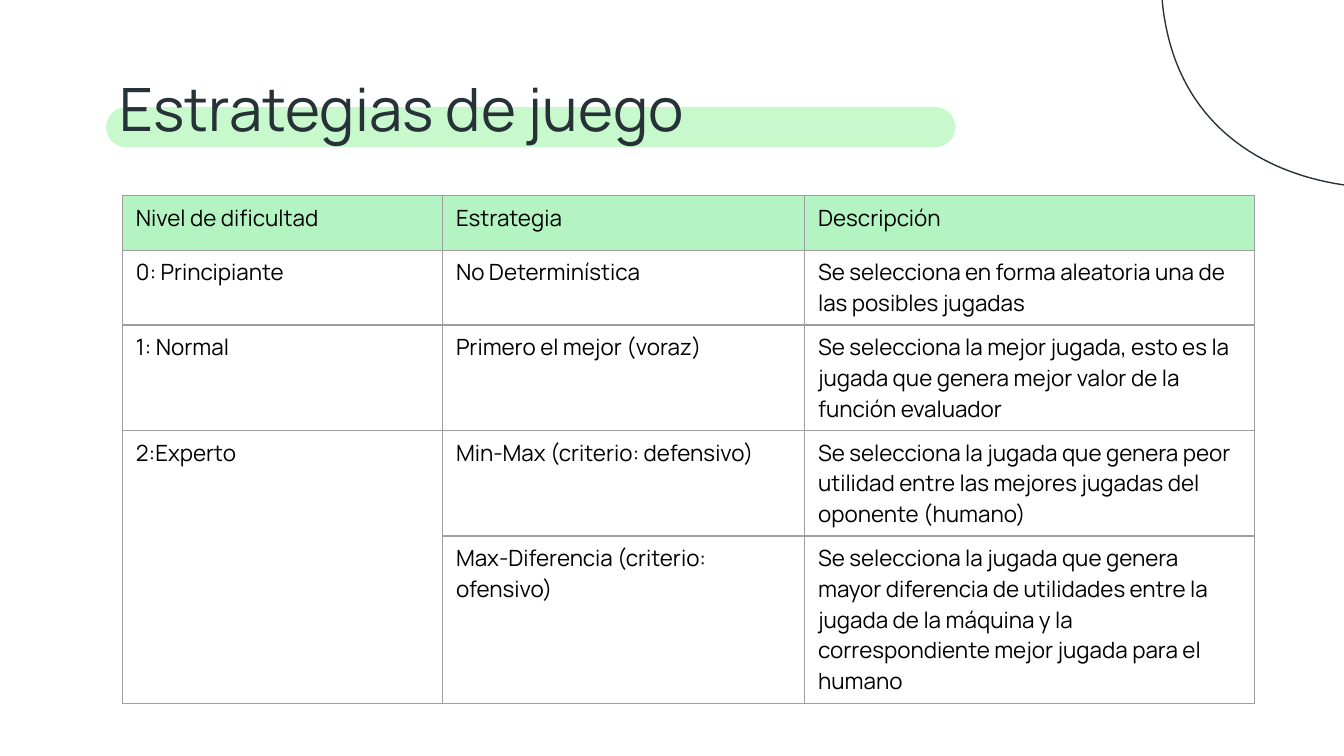
from lxml import etree
from pptx import Presentation
from pptx.dml.color import RGBColor
from pptx.enum.shapes import MSO_SHAPE as SHAPE
from pptx.enum.text import MSO_ANCHOR as ANCHOR, MSO_AUTO_SIZE as AUTO, PP_ALIGN as ALIGN
from pptx.oxml.ns import qn
from pptx.util import Pt

FONT = "Manrope"
COLORS = {"ink": "263238", "highlight": "C7F9CC", "header": "B3F4C2",
          "border": "9E9E9E", "text": "000000"}

# Cubic Bezier pieces of the corner blob: two controls and an end, from its box corner
BLOB_START = (254, 0)
BLOB_CURVES = [
    ((248, 0), (241, 2), (234, 6)),
    ((206, 20), (204, 52), (166, 53)),
    ((162, 54), (158, 54), (155, 54)),
    ((137, 54), (120, 52), (104, 52)),
    ((84, 52), (65, 55), (43, 66)),
    ((7, 86), (0, 114.5), (7, 148)),
    ((18.7, 206.6), (69, 234), (126.7, 234)),
    ((152, 234), (178, 229), (202, 219.6)),
    ((281.5, 189.4), (318, 119), (300, 49)),
    ((295, 28), (280, 0), BLOB_START),
]

COL_WIDTHS = [171.5, 194, 241]
ROW_HEIGHTS = [29.3, 40, 56.5, 56.5, 89.5]
ROWS = [
    ("Nivel de dificultad", "Estrategia", "Descripción"),
    ("0: Principiante", "No Determinística",
     "Se selecciona en forma aleatoria una de las posibles jugadas"),
    ("1: Normal", "Primero el mejor (voraz)",
     "Se selecciona la mejor jugada, esto es la jugada que genera mejor valor "
     "de la función evaluador"),
    ("2:Experto", "Min-Max (criterio: defensivo)",
     "Se selecciona la jugada que genera peor utilidad entre las mejores "
     "jugadas del oponente (humano)"),
    ("", "Max-Diferencia (criterio: ofensivo)",
     "Se selecciona la jugada que genera mayor diferencia de utilidades entre "
     "la jugada de la máquina y la correspondiente mejor jugada para el humano"),
]


def rgb(name):
    """Return the named colour."""
    return RGBColor.from_string(COLORS[name])


def set_font(p, size, color):
    """Set the font of a whole paragraph."""
    p.font.name, p.font.size = FONT, Pt(size)
    p.font.color.rgb = rgb(color)


def lines_to_curves(sp):
    """Turn each three line segments of a freeform into one cubic curve."""
    lines = list(sp.element.iter(qn("a:lnTo")))
    for i in range(0, len(lines), 3):
        curve = etree.Element(qn("a:cubicBezTo"))
        lines[i].addprevious(curve)
        for line in lines[i:i + 3]:
            curve.append(line[0])
            line.getparent().remove(line)


def add_blob(slide, left, top):
    """Draw the outlined blob that enters at the corner."""
    def place(x, y):
        return Pt(left + x), Pt(top + y)

    builder = slide.shapes.build_freeform(*place(*BLOB_START))
    builder.add_line_segments([place(*point) for curve in BLOB_CURVES for point in curve],
                              close=True)
    sp = builder.convert_to_shape()
    lines_to_curves(sp)
    sp.shadow.inherit = False
    sp.fill.background()
    sp.line.color.rgb, sp.line.width = rgb("ink"), Pt(0.75)


def add_title(slide, left, top, width, height):
    """Place the title over its rounded highlight bar."""
    bar = slide.shapes.add_shape(SHAPE.ROUNDED_RECTANGLE, Pt(left), Pt(top + 26.4),
                                 Pt(455), Pt(21.5))
    bar.adjustments[0] = 0.5
    bar.shadow.inherit = False
    bar.fill.solid()
    bar.fill.fore_color.rgb = rgb("highlight")
    bar.line.fill.background()

    title = slide.shapes.title
    title.left, title.top, title.width, title.height = map(Pt, (left, top, width, height))
    title.element.getparent().append(title.element)
    tf = title.text_frame
    tf.text = "Estrategias de juego"
    tf.auto_size, tf.word_wrap, tf.vertical_anchor = AUTO.NONE, True, ANCHOR.TOP
    tf.margin_left = tf.margin_right = tf.margin_top = tf.margin_bottom = Pt(7.2)
    p = tf.paragraphs[0]
    p.alignment = ALIGN.LEFT
    set_font(p, 32, "ink")


def add_borders(frame):
    """Give every cell of a table the same thin border."""
    for tc_pr in frame.element.iter(qn("a:tcPr")):
        for i, side in enumerate(("lnL", "lnR", "lnT", "lnB")):
            ln = etree.Element(qn(f"a:{side}"), w=str(Pt(0.75)))
            fill = etree.SubElement(ln, qn("a:solidFill"))
            etree.SubElement(fill, qn("a:srgbClr"), val=COLORS["border"])
            tc_pr.insert(i, ln)


def add_strategy_table(slide, left, top):
    """Place the table of levels and strategies."""
    frame = slide.shapes.add_table(len(ROWS), len(COL_WIDTHS), Pt(left), Pt(top),
                                   Pt(sum(COL_WIDTHS)), Pt(sum(ROW_HEIGHTS)))
    table = frame.table
    table.first_row = table.horz_banding = False
    for col, width in zip(table.columns, COL_WIDTHS):
        col.width = Pt(width)
    for r, (row, texts) in enumerate(zip(table.rows, ROWS)):
        row.height = Pt(ROW_HEIGHTS[r])
        for cell, text in zip(row.cells, texts):
            cell.text = text
            set_font(cell.text_frame.paragraphs[0], 12, "text")
            if r == 0:
                cell.fill.solid()
                cell.fill.fore_color.rgb = rgb("header")
            else:
                cell.fill.background()
    table.cell(3, 0).merge(table.cell(4, 0))
    add_borders(frame)


prs = Presentation()
prs.slide_width, prs.slide_height = Pt(720), Pt(405)
slide = prs.slides.add_slide(prs.slide_layouts[5])
add_blob(slide, 617.8, -133.2)
add_title(slide, 56.8, 31, 607, 48)
add_strategy_table(slide, 65.6, 104.7)
prs.save("out.pptx")
